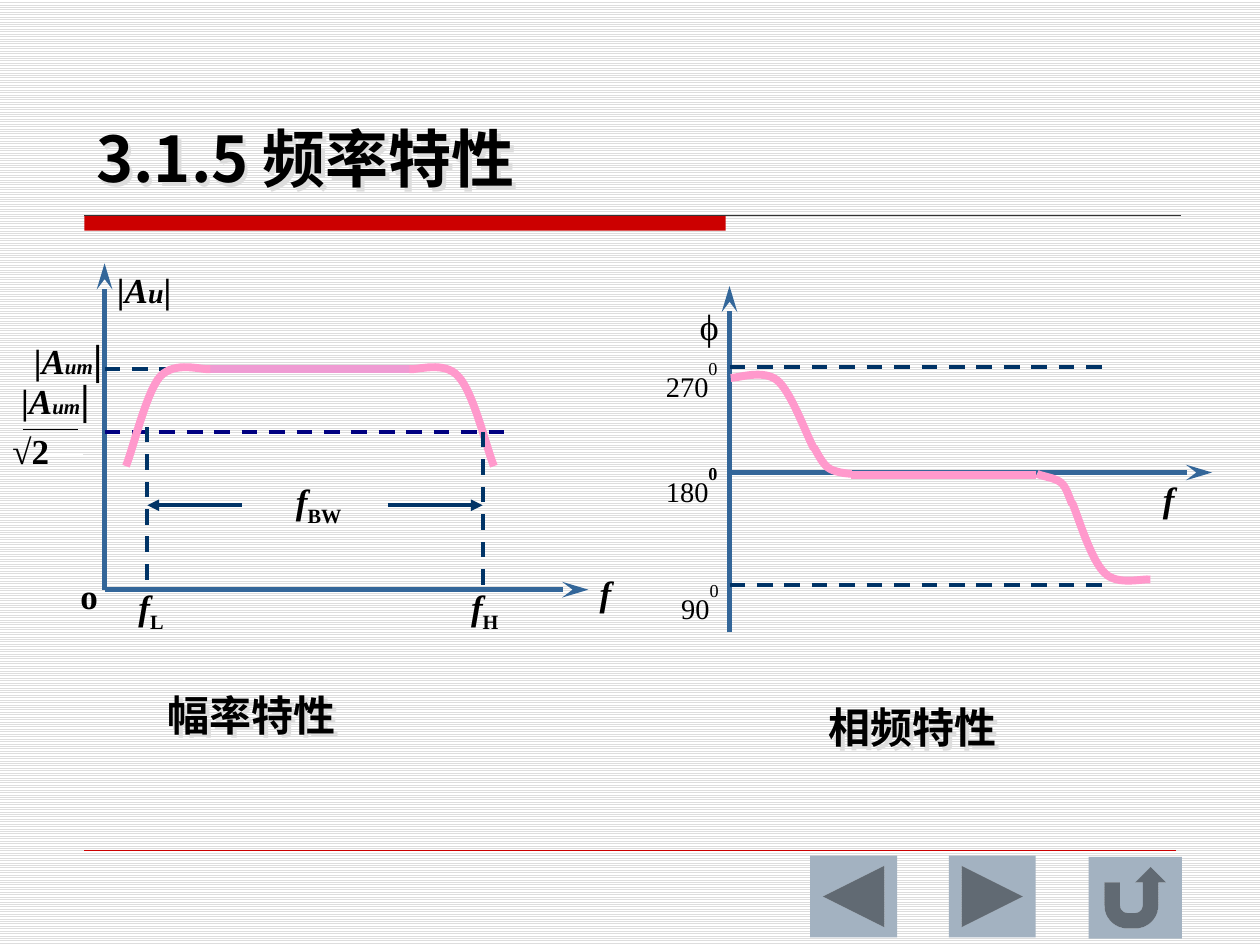
"""Build a slide on the amplitude and phase response of an amplifier."""
from lxml.etree import SubElement, fromstring
from pptx import Presentation
from pptx.dml.color import RGBColor
from pptx.enum.dml import MSO_LINE, MSO_PATTERN
from pptx.enum.shapes import MSO_CONNECTOR, MSO_SHAPE
from pptx.enum.text import MSO_ANCHOR, PP_ALIGN
from pptx.oxml.ns import qn
from pptx.util import Inches, Pt

COLS, ROWS = 100, 75
SERIF, SANS = "Times New Roman", "Noto Sans CJK SC"
THEME = {
    "ink": "000000", "bar": "CC0000", "key": "A3B2C1",
    "paper": ("DDDDDD", "FFFFFF"), "shade": "DDDDDD",
    "pens": {
        "axis": ("336699", 3, None, dict(type="stealth", w="med", len="lg")),
        "span": ("003366", 2.25, None, dict(type="triangle")),
        "dash": ("003366", 2.25, MSO_LINE.DASH, None),
        "half": ("000080", 2.25, MSO_LINE.DASH, None),
        "curve": ("FF99CC", 4.5, None, None),
        "flat": ("EF9BD3", 4.5, None, None),
        "rule": ("333333", 0.75, None, None),
        "foot": ("CC0000", 0.25, None, None),
        "root": ("FFFFFF", 0.75, None, None),
        "frac": ("000000", 0.75, None, None),
    },
    "type": {
        "title": dict(name=SANS, size=Pt(36), bold=True),
        "label": dict(name=SANS, size=Pt(24), bold=True),
        "up": dict(name=SERIF, size=Pt(20), bold=True),
        "var": dict(name=SERIF, size=Pt(20), bold=True, italic=True),
        "u": dict(name=SERIF, size=Pt(16), bold=True, italic=True),
        "um": dict(name=SERIF, size=Pt(12), bold=True, italic=True),
        "tall": dict(name=SERIF, size=Pt(24), bold=True),
        "sub": dict(name=SERIF, size=Pt(20), bold=True),
        "num": dict(name=SERIF, size=Pt(28)),
        "deg": dict(name=SERIF, size=Pt(18)),
        "degb": dict(name=SERIF, size=Pt(18), bold=True),
        "phi": dict(name=SERIF, size=Pt(36)),
    },
    "base": {"sub": -25, "num": -25, "phi": -25, "deg": 30, "degb": 30},
    "shadow": ("title", "label"),
}

BAR = (6.7, 17.1, 50.9, 1.2)
MARKS = [
    ("rule", [(6.7, 17.1), (93.7, 17.1)]),
    ("foot", [(6.7, 67.5), (93.3, 67.5)]),
    ("root", [(3.3, 36.1), (6.6, 36.1)]),
    ("axis", [(8.3, 46.8), (46.7, 46.8)]),
    ("axis", [(8.3, 46.8), (8.3, 20.9)]),
    ("dash", [(8.3, 29.3), (32.5, 29.3)]),
    ("flat", [(16.7, 29.3), (32.5, 29.3)]),
    ("curve", [(32.5, 29.3), (33.1, 29.4), (35.3, 28.6), (36.4, 29.9),
               (37.6, 31.2), (38.6, 35.5), (39.2, 37)]),
    ("half", [(8.3, 34.3), (40, 34.3)]),
    ("dash", [(11.7, 46), (11.7, 33.5)]),
    ("dash", [(38.3, 46.4), (38.3, 33.9)]),
    ("span", [(19.2, 40.1), (11.7, 40.1)]),
    ("span", [(30.8, 40.1), (38.3, 40.1)]),
    ("frac", [(1.8, 34.1), (6.2, 34.1)]),
    ("curve", [(16.7, 29.3), (16, 29.4), (13.9, 28.6), (12.7, 29.9),
               (11.6, 31.2), (10.6, 35.5), (10, 37)]),
    ("axis", [(57.9, 37.5), (96.2, 37.5)]),
    ("axis", [(57.9, 50.2), (57.9, 22.7)]),
    ("curve", [(67.5, 37.7), (82.2, 37.7)]),
    ("curve", [(91.3, 46), (90.7, 45.9), (88.7, 46.5), (87.7, 45.5),
               (86.6, 44.5), (85.6, 41.1), (85.1, 39.9)]),
    ("curve", [(82.3, 37.6), (82.6, 37.8), (83.7, 37.9), (84.2, 38.3),
               (84.7, 38.7), (84.9, 39.7), (85.1, 40)]),
    ("curve", [(58, 30), (58.6, 30), (60.6, 29.3), (61.7, 30.2),
               (62.8, 31.1), (64, 34.5), (64.6, 35.6)]),
    ("curve", [(67.6, 37.6), (67.3, 37.6), (66.2, 37.5), (65.7, 37.1),
               (65.2, 36.7), (64.8, 35.8), (64.6, 35.5)]),
    ("dash", [(57.9, 29.1), (88.3, 29.1)]),
    ("dash", [(57.9, 46.4), (88.3, 46.4)]),
]

LEFT, MID = PP_ALIGN.LEFT, PP_ALIGN.CENTER
PEAK = [("|", "up"), ("A", "var"), ("um", "um"), ("|", "tall")]
TEXTS = [
    ((4.2, 9, 40.1, 7), MID, True, [("3.1.5 频率特性", "title")]),
    ((0.7, 29.1, 7.4, 5), LEFT, False, PEAK),
    ((0, 33.6, 10.8, 4.3), LEFT, True, [("√2", "up")]),
    ((8.3, 20.8, 18.3, 4.3), LEFT, True,
     [("|", "up"), ("A", "var"), ("u", "u"), ("|", "up")]),
    ((46.6, 44.9, 4.2, 4.3), LEFT, True, [("f", "var")]),
    ((5.4, 45.1, 4.2, 4.3), LEFT, True, [("o", "up")]),
    ((1.7, 25.9, 7.8, 5), LEFT, True, PEAK),
    ((10, 46, 14, 4.3), LEFT, True, [("f", "var"), ("L", "sub")]),
    ((36.4, 46, 7.8, 4.3), LEFT, True, [("f", "var"), ("H", "sub")]),
    ((22.5, 37.6, 7.8, 4.3), LEFT, True, [("f", "var"), ("BW", "sub")]),
    ((91.3, 37.4, 4.2, 4.3), LEFT, True, [("f", "var")]),
    ((51.5, 26.2, 6.8, 4.2), MID, False, [("270", "num"), ("0", "deg")]),
    ((51.5, 34.5, 6.8, 4.2), MID, False, [("180", "num"), ("0", "degb")]),
    ((52.8, 43.8, 5.5, 4.2), MID, False, [("90", "num"), ("0", "deg")]),
    ((54.3, 20.3, 4, 5), MID, False, [("ϕ", "phi")]),
    ((6.7, 54.2, 26.6, 5), MID, True, [("幅率特性", "label")]),
    ((58.9, 55.2, 27.1, 5), MID, True, [("相频特性", "label")]),
]
KEYS = [
    (MSO_SHAPE.ACTION_BUTTON_BACK_OR_PREVIOUS, (64.3, 67.9, 6.9, 6.5)),
    (MSO_SHAPE.ACTION_BUTTON_FORWARD_OR_NEXT, (75.3, 67.9, 6.9, 6.5)),
    (MSO_SHAPE.ACTION_BUTTON_RETURN, (86.4, 68, 7.4, 6.5)),
]

SHADOW = (
    '<a:effectLst xmlns:a="http://schemas.openxmlformats.org/drawingml/2006/main">'
    '<a:outerShdw dist="35921" dir="2700000">'
    f'<a:srgbClr val="{THEME["shade"]}"/></a:outerShdw></a:effectLst>'
)

deck = Presentation()
deck.slide_width, deck.slide_height = Inches(10), Inches(7.5)
UNIT = deck.slide_width / COLS
slide = deck.slides.add_slide(deck.slide_layouts[6])
shapes = slide.shapes


def grid(vals):
    return [round(v * UNIT) for v in vals]


def rgb(code):
    return RGBColor.from_string(code)


def trace(pts):
    form = shapes.build_freeform(*grid(pts[0]))
    form.add_line_segments([grid(p) for p in pts[1:]], close=False)
    shape = form.convert_to_shape()
    legs = list(shape._element.iter(qn("a:lnTo")))
    for n in range(0, len(legs), 3):
        arc = SubElement(legs[n].getparent(), qn("a:cubicBezTo"))
        for leg in legs[n:n + 3]:
            arc.append(leg[0])
            leg.getparent().remove(leg)
    shape.fill.background()
    shape.shadow.inherit = False
    return shape


def join(pts):
    line = shapes.add_connector(MSO_CONNECTOR.STRAIGHT, *grid(pts[0] + pts[1]))
    SubElement(line._element.spPr, qn("a:effectLst"))
    return line


def draw(pen, pts):
    color, width, dash, tip = THEME["pens"][pen]
    line = (join(pts) if len(pts) == 2 else trace(pts)).line
    line.color.rgb = rgb(color)
    for name, val in {"width": Pt(width), "dash_style": dash}.items():
        setattr(line, name, val)
    if tip:
        SubElement(line._get_or_add_ln(), qn("a:tailEnd"), **tip)


def block(kind, box, color):
    shape = shapes.add_shape(kind, *grid(box))
    shape.shadow.inherit = False
    shape.fill.solid()
    shape.fill.fore_color.rgb = rgb(color)
    shape.line.fill.background()


def write(box, align, wrap, runs):
    shape = shapes.add_textbox(*grid(box))
    frame = shape.text_frame
    for name, val in {"word_wrap": wrap, "vertical_anchor": MSO_ANCHOR.TOP}.items():
        setattr(frame, name, val)
    para = frame.paragraphs[0]
    para.alignment = align
    for text, kind in runs:
        run = para.add_run()
        run.text = text
        style = THEME["type"][kind]
        for name, val in style.items():
            setattr(run.font, name, val)
        run.font.color.rgb = rgb(THEME["ink"])
        props = run._r.get_or_add_rPr()
        SubElement(props, qn("a:ea"), typeface=style["name"])
        if kind in THEME["base"]:
            props.set("baseline", str(THEME["base"][kind] * 1000))
    if runs[0][1] in THEME["shadow"]:
        shape._element.spPr.append(fromstring(SHADOW))


fill = slide.background.fill
fill.patterned()
fill.pattern = MSO_PATTERN.LIGHT_HORIZONTAL
fill.fore_color.rgb, fill.back_color.rgb = map(rgb, THEME["paper"])
block(MSO_SHAPE.RECTANGLE, BAR, THEME["bar"])
for mark in MARKS:
    draw(*mark)
for text in TEXTS:
    write(*text)
for kind, box in KEYS:
    block(kind, box, THEME["key"])
deck.save("out.pptx")
